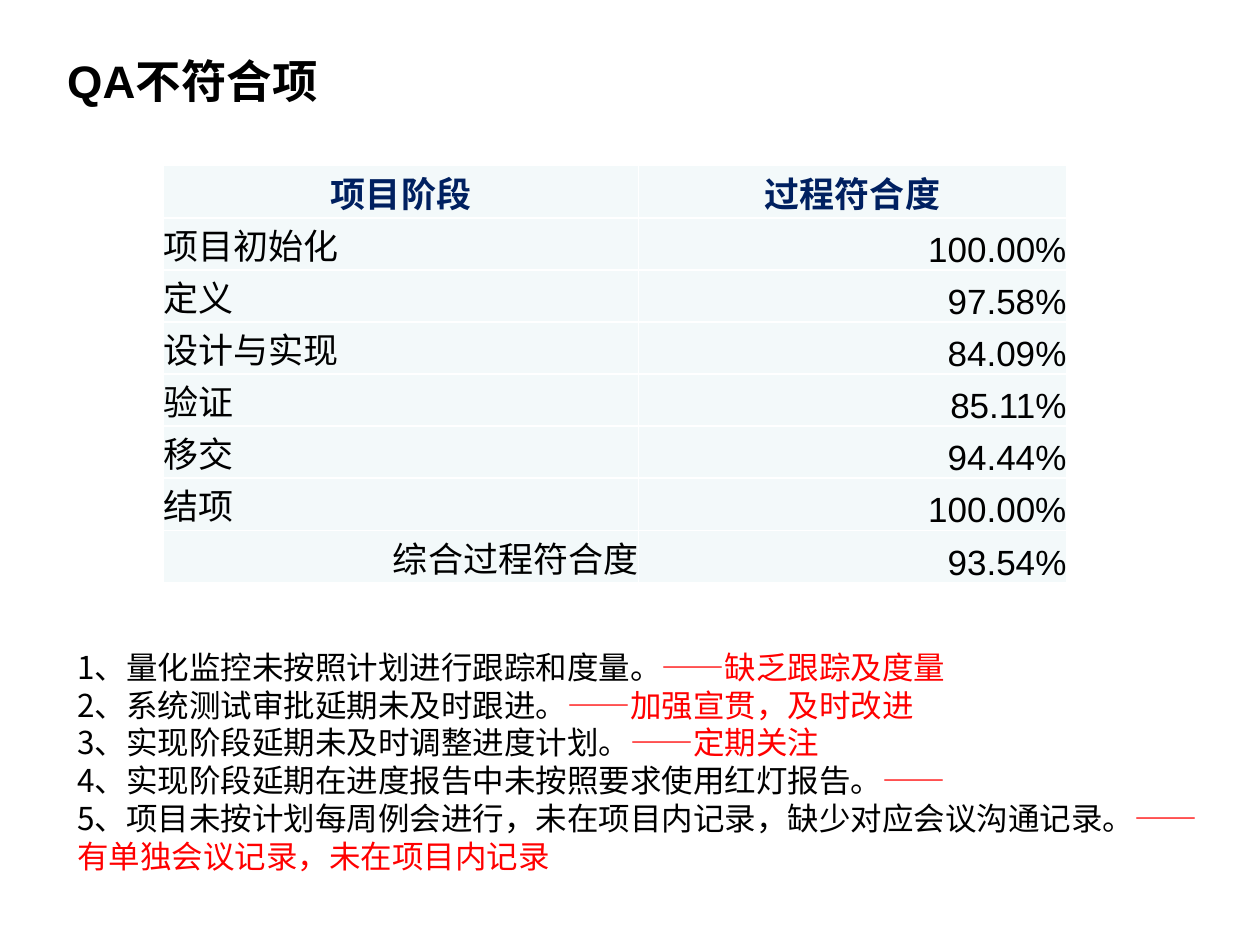
from dataclasses import dataclass

from lxml.etree import SubElement
from pptx import Presentation
from pptx.dml.color import RGBColor
from pptx.enum.lang import MSO_LANGUAGE_ID as Lang
from pptx.enum.text import MSO_ANCHOR as Anchor, MSO_AUTO_SIZE as AutoSize, PP_ALIGN as Align
from pptx.oxml import parse_xml
from pptx.oxml.ns import nsdecls, qn
from pptx.util import Cm, Pt


@dataclass(frozen=True)
class Theme:
    text: str = "000000"
    header: str = "002060"
    remark: str = "FF0000"
    cell: str = "F3F9FA"
    border: str = "FFFFFF"
    latin: str = "Arial"
    cjk: str = "Noto Sans CJK SC"
    title_size: int = 26
    table_size: int = 20
    list_size: int = 18


def add_text(p, text, size, color, font, cjk, bold=False):
    """Append one formatted run to a paragraph."""
    r = p.add_run()
    r.text = text
    f = r.font
    f.size, f.bold, f.name = Pt(size), bold, font
    f.color.rgb = RGBColor.from_string(color)
    f.language_id = Lang.SIMPLIFIED_CHINESE
    SubElement(f._element, qn("a:ea")).set("typeface", cjk)


class SlideBuilder:
    def __init__(self, prs, theme):
        self.theme = theme
        self.slide = prs.slides.add_slide(prs.slide_layouts[1])

    def place(self, sp, left, top, width, height, anchor):
        sp.left, sp.top, sp.width, sp.height = Cm(left), Cm(top), Cm(width), Cm(height)
        tf = sp.text_frame
        tf.word_wrap, tf.auto_size, tf.vertical_anchor = True, AutoSize.NONE, anchor
        return tf

    def title(self, text, *box):
        t = self.theme
        p = self.place(self.slide.shapes.title, *box, Anchor.MIDDLE).paragraphs[0]
        p.alignment = Align.LEFT
        add_text(p, text, t.title_size, t.text, t.latin, t.cjk, bold=True)

    def findings(self, items, *box):
        t = self.theme
        tf = self.place(self.slide.placeholders[1], *box, Anchor.TOP)
        for i, (finding, remark) in enumerate(items):
            p = tf.add_paragraph() if i else tf.paragraphs[0]
            p.alignment, p.space_before = Align.LEFT, Pt(0)
            pPr = p._p.get_or_add_pPr()
            pPr.set("marL", "0")
            pPr.set("indent", "0")
            SubElement(pPr, qn("a:buNone"))
            number = f"{i + 1}、"
            add_text(p, number + finding, t.list_size, t.text, t.cjk, t.cjk)
            add_text(p, "——" + remark, t.list_size, t.remark, t.cjk, t.cjk)

    def cell(self, cell, text, align, anchor, color, bold):
        t = self.theme
        cell.margin_left = cell.margin_right = cell.margin_top = cell.margin_bottom = 0
        cell.vertical_anchor = anchor
        cell.fill.solid()
        cell.fill.fore_color.rgb = RGBColor.from_string(t.cell)
        tcPr = cell._tc.get_or_add_tcPr()
        for i, side in enumerate("LRTB"):
            tcPr.insert(i, parse_xml(
                f'<a:ln{side} {nsdecls("a")} w="{Pt(1)}"><a:solidFill>'
                f'<a:srgbClr val="{t.border}"/></a:solidFill></a:ln{side}>'))
        p = cell.text_frame.paragraphs[0]
        p.alignment = align
        add_text(p, text, t.table_size, color, t.latin, t.cjk, bold)

    def table(self, rows, left, top, widths, row_height):
        t = self.theme
        last = len(rows) - 1
        tbl = self.slide.shapes.add_table(
            len(rows), len(widths), Cm(left), Cm(top),
            Cm(sum(widths)), Cm(row_height * len(rows))).table
        tbl.first_row = tbl.horz_banding = False
        for column, width in zip(tbl.columns, widths):
            column.width = Cm(width)
        for i, row in enumerate(rows):
            for j, text in enumerate(row):
                # Header centred, stage names left, values and total right
                if i == 0:
                    look = Align.CENTER, Anchor.MIDDLE, t.header, True
                elif j == 0 and i < last:
                    look = Align.LEFT, Anchor.MIDDLE, t.text, False
                else:
                    look = Align.RIGHT, Anchor.BOTTOM, t.text, False
                self.cell(tbl.cell(i, j), text, *look)


STAGES = [
    ("项目阶段", "过程符合度"),
    ("项目初始化", "100.00%"),
    ("定义", "97.58%"),
    ("设计与实现", "84.09%"),
    ("验证", "85.11%"),
    ("移交", "94.44%"),
    ("结项", "100.00%"),
    ("综合过程符合度", "93.54%"),
]
FINDINGS = [
    ("量化监控未按照计划进行跟踪和度量。", "缺乏跟踪及度量"),
    ("系统测试审批延期未及时跟进。", "加强宣贯，及时改进"),
    ("实现阶段延期未及时调整进度计划。", "定期关注"),
    ("实现阶段延期在进度报告中未按照要求使用红灯报告。", ""),
    ("项目未按计划每周例会进行，未在项目内记录，缺少对应会议沟通记录。",
     "有单独会议记录，未在项目内记录"),
]


def main():
    prs = Presentation()
    prs.slide_width, prs.slide_height = Cm(25.4), Cm(19.05)
    s = SlideBuilder(prs, Theme())
    # Stage conformity table
    s.table(STAGES, 3.3, 3.34, (9.57, 8.63), 1.05)
    # Heading and list of findings
    s.title("QA不符合项", 1.1, 0.92, 19, 1.4)
    s.findings(FINDINGS, 1.3, 12.93, 23.2, 4.88)
    prs.save("out.pptx")


if __name__ == "__main__":
    main()
